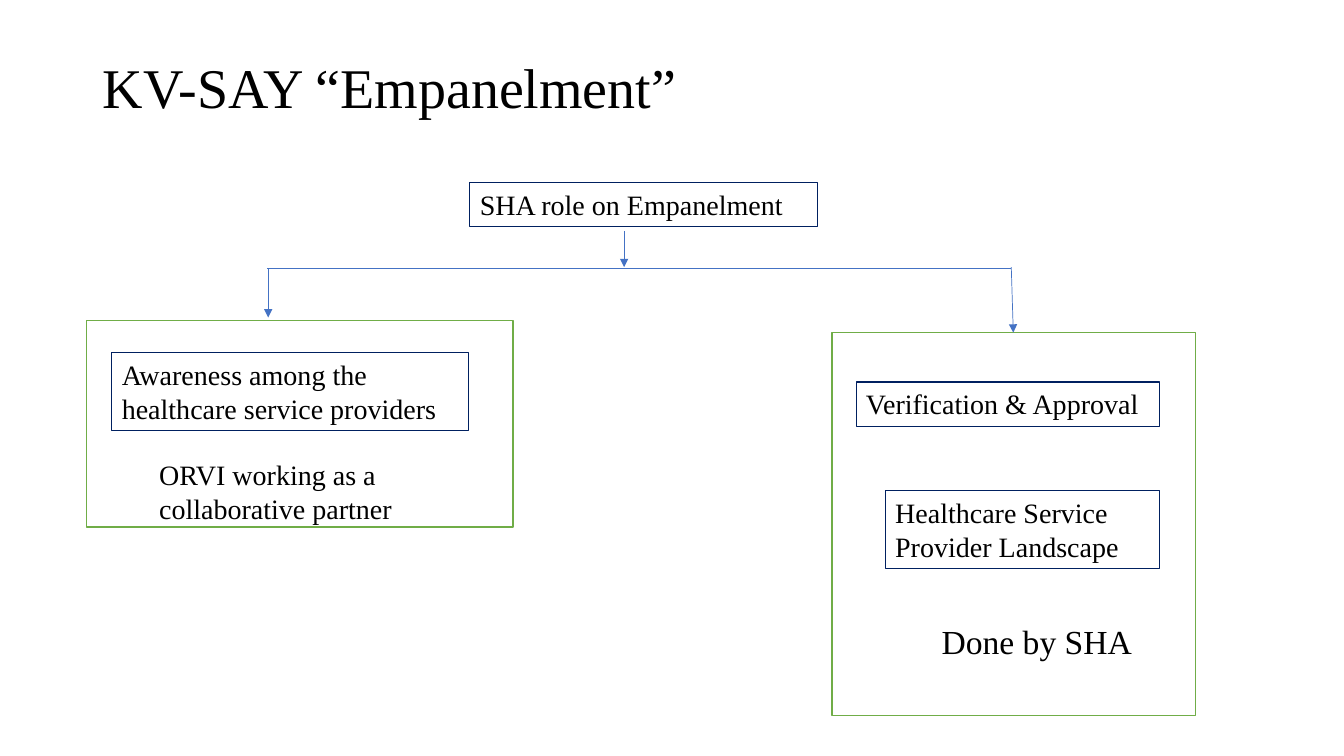
from lxml import etree
from pptx import Presentation
from pptx.dml.color import RGBColor
from pptx.enum.shapes import MSO_CONNECTOR, MSO_SHAPE
from pptx.enum.text import MSO_ANCHOR, PP_ALIGN
from pptx.oxml.ns import qn
from pptx.util import Pt

PX = 9144  # EMU per px, 100 px to the inch
TITLE_ONLY = 5
RECT = MSO_SHAPE.RECTANGLE
STRAIGHT = MSO_CONNECTOR.STRAIGHT
LEFT = PP_ALIGN.LEFT
TOP, MIDDLE = MSO_ANCHOR.TOP, MSO_ANCHOR.MIDDLE

FONT = "Times New Roman"
BLACK, WHITE = "000000", "FFFFFF"
GREEN, NAVY, BLUE = "70AD47", "002060", "4472C4"


def rgb(color):
    return RGBColor.from_string(color)


def emu(*lengths):
    return [n * PX for n in lengths]


def set_line(shape, color, width):
    shape.line.color.rgb = rgb(color)
    shape.line.width = Pt(width)


def set_text(shape, text, size, anchor=TOP):
    tf = shape.text_frame
    tf.word_wrap = True
    tf.vertical_anchor = anchor
    tf.text = text
    p = tf.paragraphs[0]
    p.alignment = LEFT
    p.font.name = FONT
    p.font.size = Pt(size)
    p.font.color.rgb = rgb(BLACK)
    return p


def add_title(s, text, *box):
    title = s.shapes.title
    title.left, title.top, title.width, title.height = emu(*box)
    set_text(title, text, 40, MIDDLE).line_spacing = 0.9


def add_panel(s, *box):
    sp = s.shapes.add_shape(RECT, *emu(*box))
    sp.shadow.inherit = False
    sp.fill.solid()
    sp.fill.fore_color.rgb = rgb(WHITE)
    set_line(sp, GREEN, 1)


def add_label(s, text, *box, size=20, border=None):
    sp = s.shapes.add_textbox(*emu(*box))
    set_text(sp, text, size)
    if border:
        set_line(sp, border, 0.75)


def add_link(s, *ends, arrow=True):
    link = s.shapes.add_connector(STRAIGHT, *emu(*ends))
    set_line(link, BLUE, 0.5)
    if arrow:
        ln = link.line._get_or_add_ln()
        etree.SubElement(ln, qn("a:tailEnd"), type="triangle")
    etree.SubElement(link._element.spPr, qn("a:effectLst"))


def main():
    prs = Presentation()
    prs.slide_width, prs.slide_height = emu(1333, 750)
    s = prs.slides.add_slide(prs.slide_layouts[TITLE_ONLY])
    add_title(s, "KV-SAY “Empanelment”", 92, 40, 1150, 99)

    # Green panels behind the two branches
    add_panel(s, 86, 318, 423, 205)
    add_panel(s, 825, 330, 361, 380)

    # Bordered labels
    for text, *box in (
        ("SHA role on Empanelment", 466, 181, 345, 44),
        ("Awareness among the healthcare service providers", 111, 350, 354, 77),
        ("Verification & Approval", 849, 379, 301, 44),
        ("Healthcare Service Provider Landscape", 878, 487, 272, 77),
    ):
        add_label(s, text, *box, border=NAVY)

    # Links from the root to both branches
    add_link(s, 619, 229, 619, 265)
    add_link(s, 265, 266, 1003, 266, arrow=False)
    add_link(s, 266, 266, 266, 315)
    add_link(s, 1003, 265, 1005, 330)

    # Plain notes inside the panels
    add_label(s, "Done by SHA", 924, 611, 226, 50, size=24)
    add_label(s, "ORVI working as a collaborative partner", 148, 449, 273, 77)

    prs.save("out.pptx")


if __name__ == "__main__":
    main()
